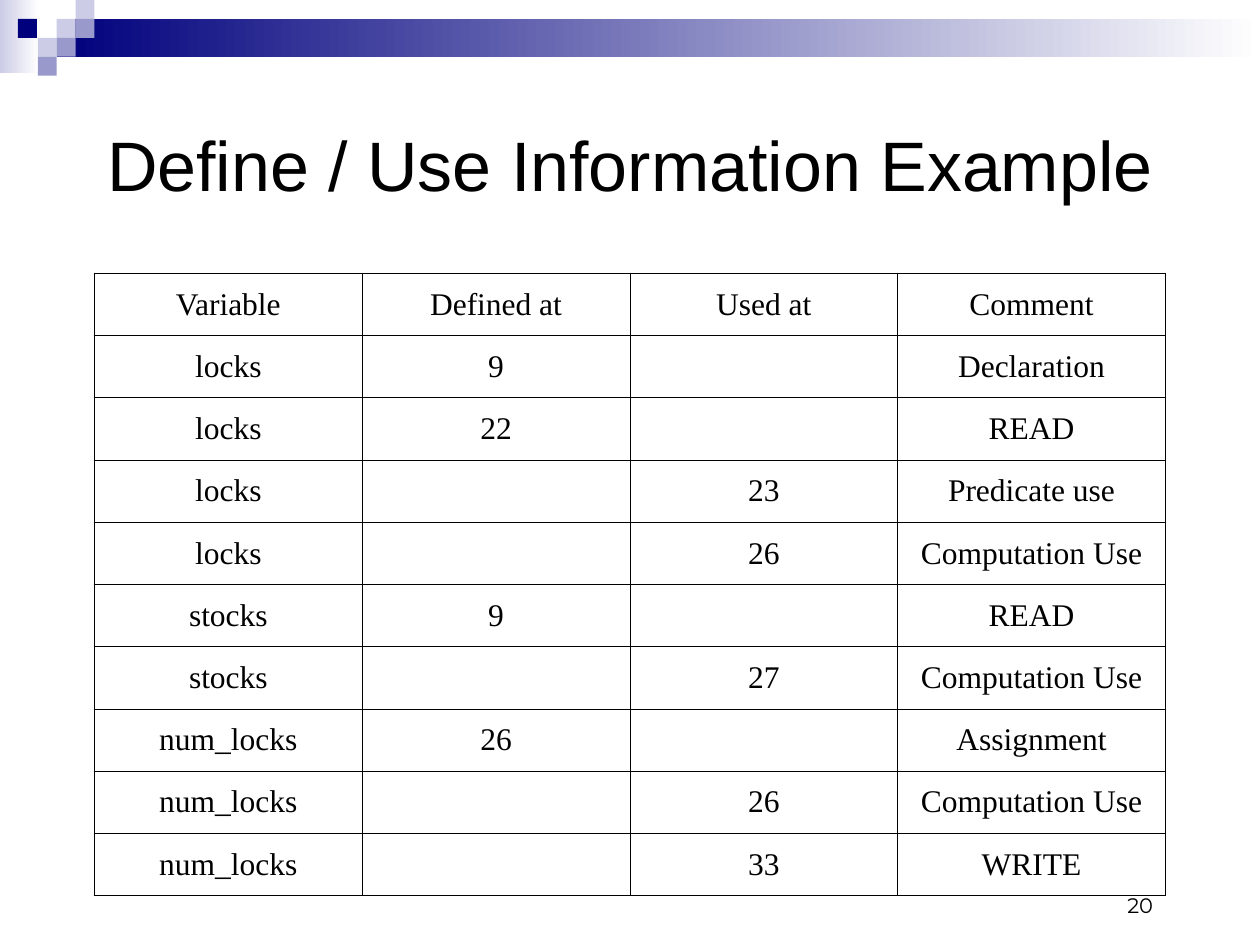
from pptx import Presentation
from pptx.dml.color import RGBColor
from pptx.enum.shapes import MSO_SHAPE
from pptx.enum.text import MSO_ANCHOR, PP_ALIGN
from pptx.oxml.ns import qn
from pptx.util import Inches, Pt
from lxml import etree

RECT = MSO_SHAPE.RECTANGLE
MIDDLE, BOTTOM = MSO_ANCHOR.MIDDLE, MSO_ANCHOR.BOTTOM
LEFT, CENTER, RIGHT = PP_ALIGN.LEFT, PP_ALIGN.CENTER, PP_ALIGN.RIGHT
BLACK = RGBColor(0x00, 0x00, 0x00)
WHITE = RGBColor(0xFF, 0xFF, 0xFF)
NAVY = RGBColor(0x00, 0x00, 0x7D)
LILAC = RGBColor(0x99, 0x99, 0xCC)
PALE = RGBColor(0xCC, 0xCC, 0xE6)

TITLE = "Define / Use Information Example"
NUMBER = "20"
ROWS = [
    ("Variable", "Defined at", "Used at", "Comment"),
    ("locks", "9", "", "Declaration"),
    ("locks", "22", "", "READ"),
    ("locks", "", "23", "Predicate use"),
    ("locks", "", "26", "Computation Use"),
    ("stocks", "9", "", "READ"),
    ("stocks", "", "27", "Computation Use"),
    ("num_locks", "26", "", "Assignment"),
    ("num_locks", "", "26", "Computation Use"),
    ("num_locks", "", "33", "WRITE"),
]
BANDS = [((0, 0, 0.31, 0.58), PALE), ((0.45, 0.15, 9.55, 0.3), NAVY)]
SIDE = 0.15
TILES = [(3, 1, PALE), (4, 0, PALE), (4, 1, LILAC), (2, 2, PALE),
         (0.95, 1, NAVY), (3, 2, LILAC), (2, 3, LILAC)]
WIDE, TALL = 8.5, 4.94
THIN, THICK = 0.45, 1.08


def add_rect(slide, box):
    rect = slide.shapes.add_shape(RECT, *map(Inches, box))
    rect.shadow.inherit = False
    rect.line.fill.background()
    return rect


def add_band(slide, box, color):
    fill = add_rect(slide, box).fill
    fill.gradient()
    fill.gradient_angle = 0
    for stop, tone, spot in zip(fill.gradient_stops, (color, WHITE), (0, 1)):
        stop.color.rgb = tone
        stop.position = spot


def add_tile(slide, col, row, color):
    fill = add_rect(slide, (col * SIDE, row * SIDE, SIDE, SIDE)).fill
    fill.solid()
    fill.fore_color.rgb = color


def set_text(frame, text, size, face, align):
    frame.text = text
    para = frame.paragraphs[0]
    para.alignment = align
    for font in (para.font, *(run.font for run in para.runs)):
        font.size = Pt(size)
        font.name = face
        font.color.rgb = BLACK


def add_edge(cell, tag, width):
    props = cell._tc.get_or_add_tcPr()
    line = etree.SubElement(props, qn(tag), w=str(Pt(width)))
    fill = etree.SubElement(line, qn("a:solidFill"))
    etree.SubElement(fill, qn("a:srgbClr"), val=str(BLACK))


def add_grid(slide):
    rows, cols = len(ROWS), len(ROWS[0])
    frame = slide.shapes.add_table(
        rows, cols, Inches(0.75), Inches(2.17), Inches(WIDE), Inches(TALL))
    table = frame.table
    table.first_row = table.horz_banding = False
    for y, row in enumerate(ROWS):
        for x, text in enumerate(row):
            cell = table.cell(y, x)
            cell.vertical_anchor = MIDDLE
            set_text(cell.text_frame, text, 18, "Times New Roman", CENTER)
            edges = [("a:lnL", x == 0), ("a:lnR", x == cols - 1),
                     ("a:lnT", y == 0), ("a:lnB", y == rows - 1)]
            for tag, outer in edges:
                add_edge(cell, tag, THICK if outer else THIN)
            cell.fill.background()


def main():
    deck = Presentation()
    deck.slide_width, deck.slide_height = Inches(10), Inches(7.5)
    slide = deck.slides.add_slide(deck.slide_layouts[5])
    for box, color in BANDS:
        add_band(slide, box, color)
    for tile in TILES:
        add_tile(slide, *tile)

    note = slide.shapes.add_textbox(
        Inches(7.17), Inches(6.83), Inches(2.08), Inches(0.5))
    note.text_frame.word_wrap = True
    note.text_frame.vertical_anchor = BOTTOM
    set_text(note.text_frame, NUMBER, 12, "Montserrat", RIGHT)

    title = slide.shapes.title
    title.left, title.top = Inches(0.75), Inches(0.67)
    title.width, title.height = Inches(WIDE), Inches(1.25)
    title.text_frame.vertical_anchor = MIDDLE
    set_text(title.text_frame, TITLE, 40, "Arial", LEFT)

    add_grid(slide)
    deck.save("out.pptx")


if __name__ == "__main__":
    main()
